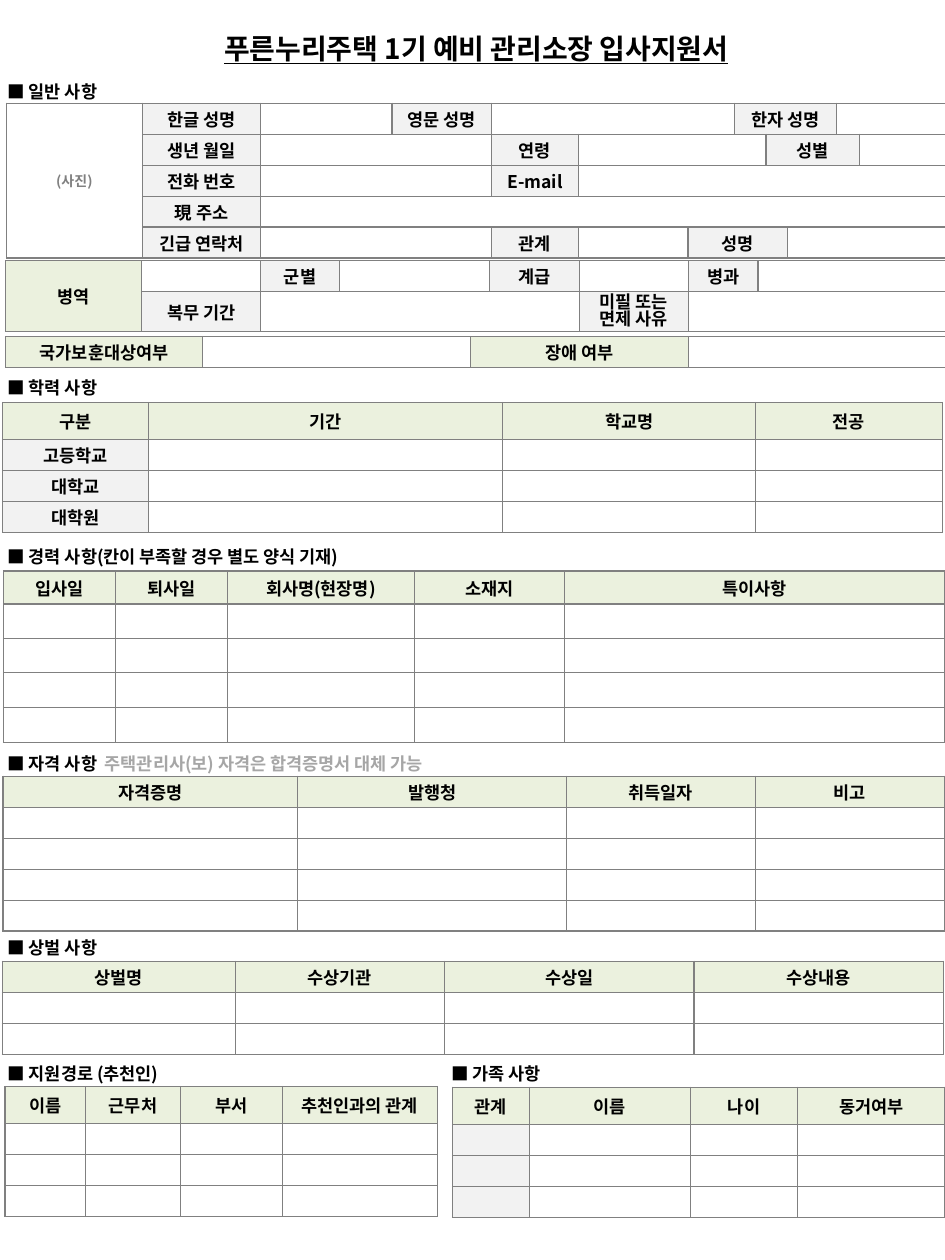
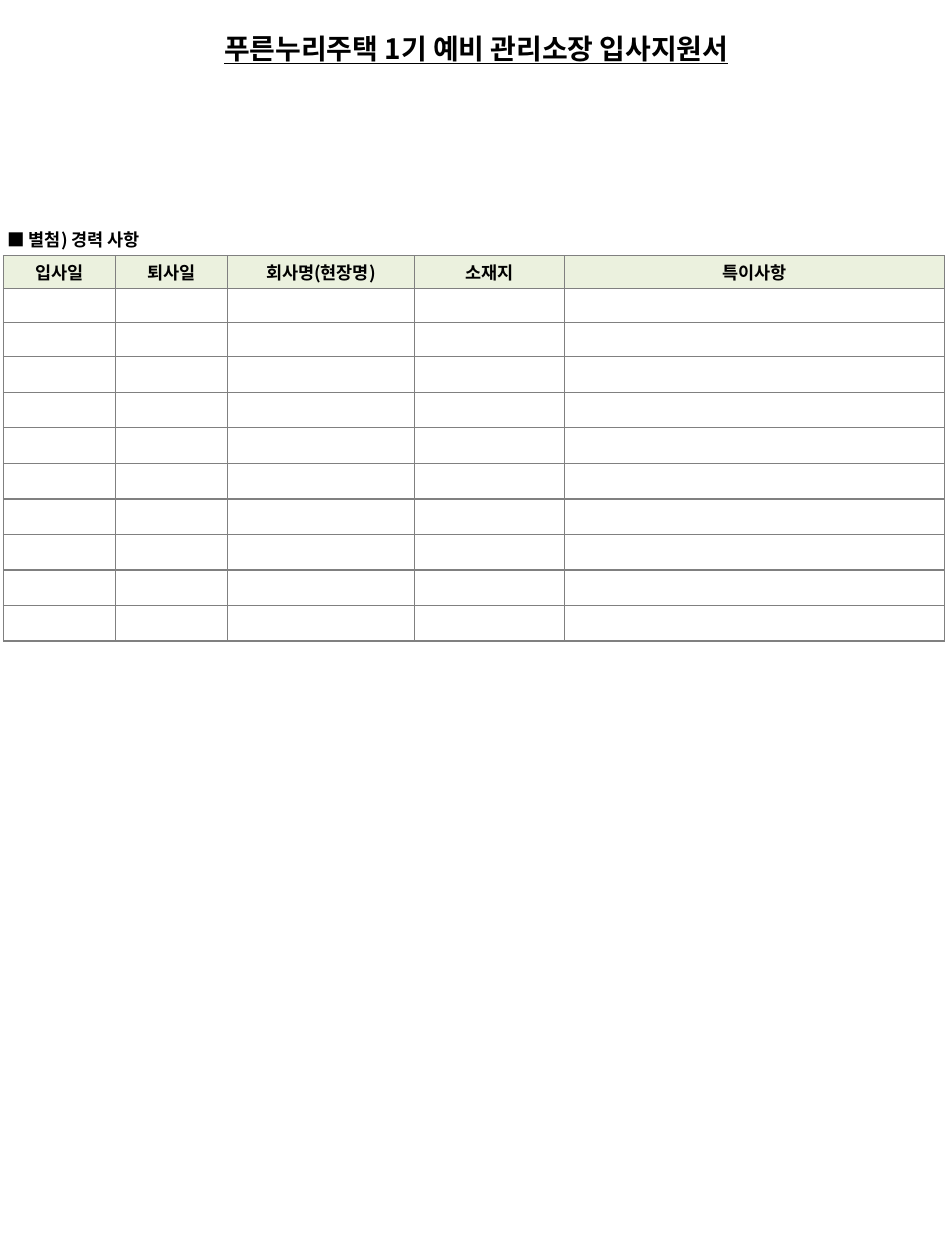
"""Build a two-page job application form from headings and ruled tables."""
from lxml import etree
from pptx import Presentation
from pptx.dml.color import RGBColor
from pptx.enum import text as txt
from pptx.oxml import ns, parse_xml
from pptx.util import Pt

HUES = {"ink": "000000", "rule": "808080", "hint": "A6A6A6",
        "head": "EBF1DE", "label": "F2F2F2"}
FACE = "Noto Sans CJK KR"
ROW = 17.7
TITLE = "푸른누리주택 1기 예비 관리소장 입사지원서"


def style(par, size=10, hue="ink"):
    font = par.font
    font.name, font.size, font.bold = FACE, Pt(size), True
    font.color.rgb = RGBColor.from_string(HUES[hue])
    etree.SubElement(font._rPr, ns.qn("a:ea"), typeface=FACE)
    if not par.runs:
        par._p.get_or_add_endParaRPr().set("sz", str(size * 100))


def grid(page, left, top, cols, rows, cells):
    frame = page.shapes.add_table(len(rows), len(cols), Pt(left), Pt(top),
                                  Pt(sum(cols)), Pt(sum(rows)))
    table = frame.table
    table.first_row = table.horz_banding = False
    for col, width in zip(table.columns, cols):
        col.width = Pt(width)
    for row, height in zip(table.rows, rows):
        row.height = Pt(height)
    marks = {(r, c): (word, hue) for r, c, word, hue, *_ in cells}
    for r in range(len(rows)):
        for c in range(len(cols)):
            cell = table.cell(r, c)
            word, hue = marks.get((r, c), ("", None))
            cell.margin_left = cell.margin_right = Pt(2.9)
            cell.margin_top = cell.margin_bottom = 0
            cell.vertical_anchor = txt.MSO_ANCHOR.MIDDLE
            par = cell.text_frame.paragraphs[0]
            par.text = word
            par.alignment = txt.PP_ALIGN.CENTER
            if "\v" in word:
                par.line_spacing = 0.7
            if word == "(사진)":
                style(par, 8, "rule")
            else:
                style(par)
            if hue:
                cell.fill.solid()
                cell.fill.fore_color.rgb = RGBColor.from_string(HUES[hue])
            else:
                cell.fill.background()
            props = cell._tc.get_or_add_tcPr()
            for i, side in enumerate("LRTB"):
                props.insert(i, parse_xml(
                    f'<a:ln{side} {ns.nsdecls("a")} w="9525"><a:solidFill>'
                    f'<a:srgbClr val="{HUES["rule"]}"/></a:solidFill></a:ln{side}>'))
    for r, c, _, _, *span in cells:
        if span:
            down, over = span
            table.cell(r, c).merge(table.cell(r + down - 1, c + over - 1))


deck = Presentation()
deck.slide_width, deck.slide_height = Pt(540), Pt(720)
form, annex = [deck.slides.add_slide(deck.slide_layouts[6]) for _ in range(2)]

heads = [
    (form, 4.3, 42.5, "■ 일반 사항", ""),
    (form, 4.3, 211.7, "■ 학력 사항", ""),
    (form, 4.3, 308.2, "■ 경력 사항(칸이 부족할 경우 별도 양식 기재)", ""),
    (form, 4.3, 427, "■ 자격 사항  ", "주택관리사(보) 자격은 합격증명서 대체 가능"),
    (form, 4.3, 532.1, "■ 상벌 사항", ""),
    (form, 4.3, 604.1, "■ 지원경로 (추천인)", ""),
    (form, 257.8, 604.1, "■ 가족 사항", ""),
    (annex, 4.3, 127.4, "■ 별첨) 경력 사항", ""),
]
for page, left, top, word, hint in heads:
    box = page.shapes.add_textbox(Pt(left), Pt(top), Pt(536 - left), Pt(19.4))
    box.text_frame.word_wrap = True
    box.text_frame.margin_left = 0
    par = box.text_frame.paragraphs[0]
    par.text = word
    if hint:
        run = par.add_run()
        run.text = hint
        run.font.color.rgb = RGBColor.from_string(HUES["hint"])
    style(par)

for page in (form, annex):
    box = page.shapes.add_textbox(Pt(2.2), Pt(14.4), Pt(540), Pt(26.6))
    box.text_frame.word_wrap = True
    par = box.text_frame.paragraphs[0]
    par.text = TITLE
    par.alignment = txt.PP_ALIGN.CENTER
    style(par, 16)
    par.font.underline = True

grid(form, 3.6, 59,
     [77.8, 67.7, 74.9, 56.9, 49.7, 62.6, 26.6, 18, 12.2, 28.1, 13, 49.7],
     [ROW] * 5, [
         (0, 0, "(사진)", None, 5, 1),
         (0, 1, "한글 성명", "label"), (0, 3, "영문 성명", "label"),
         (0, 4, "", None, 1, 3), (0, 7, "한자 성명", "label", 1, 3),
         (0, 10, "", None, 1, 2),
         (1, 1, "생년 월일", "label"), (1, 2, "", None, 1, 2),
         (1, 4, "연령", "label"), (1, 5, "", None, 1, 3),
         (1, 8, "성별", "label", 1, 3),
         (2, 1, "전화 번호", "label"), (2, 2, "", None, 1, 2),
         (2, 4, "E-mail", "label"), (2, 5, "", None, 1, 7),
         (3, 1, "現 주소", "label"), (3, 2, "", None, 1, 10),
         (4, 1, "긴급 연락처", "label"), (4, 2, "", None, 1, 2),
         (4, 4, "관계", "label"), (4, 6, "성명", "label", 1, 3),
         (4, 9, "", None, 1, 3)])
grid(form, 3.3, 149, [77.8, 67.7, 45.4, 85.7, 51.1, 62.6, 39.6, 108],
     [ROW, 22.9], [
         (0, 0, "병역", "head", 2, 1), (0, 2, "군별", "label"),
         (0, 4, "계급", "label"), (0, 6, "병과", "label"),
         (1, 1, "복무 기간", "label"), (1, 2, "", None, 1, 3),
         (1, 5, "미필 또는\v면제 사유", "label"), (1, 6, "", None, 1, 2)])
grid(form, 3.3, 192.2, [112.3, 153.4, 124.6, 147.6], [ROW],
     [(0, 0, "국가보훈대상여부", "head"), (0, 2, "장애 여부", "head")])

job = [64.1, 64.1, 106.6, 85.7, 217.4]
work = ["입사일", "퇴사일", "회사명(현장명)", "소재지", "특이사항"]
short = [21.2] + [ROW] * 3
lists = [
    (form, 1.4, 229.9, [83.5, 202.3, 144.7, 106.6], short,
     ["구분", "기간", "학교명", "전공"], ["고등학교", "대학교", "대학원"]),
    (form, 1.9, 326.3, job, [18.9] + [19.5] * 2 + [20.2] * 2, work, []),
    (form, 1.7, 443.6, [168.5, 153.4, 108, 108], [ROW] * 5,
     ["자격증명", "발행청", "취득일자", "비고"], []),
    (form, 1.3, 549.3, [133.2, 119.5, 142.6, 142.6], [ROW] * 3,
     ["상벌명", "수상기관", "수상일", "수상내용"], []),
    (form, 2.9, 620.8, [46.1, 54, 58.3, 88.6], short,
     ["이름", "근무처", "부서", "추천인과의 관계"], []),
    (form, 258.5, 621.3, [43.9, 92.2, 61.2, 84.2], short,
     ["관계", "이름", "나이", "동거여부"], [""] * 3),
    (annex, 1.9, 146.1, job, [18.9] + [19.5] * 2 + [20.3] * 8, work, []),
]
for page, left, top, cols, rows, names, side in lists:
    cells = [(0, c, word, "head") for c, word in enumerate(names)]
    cells += [(r, 0, word, "label") for r, word in enumerate(side, 1)]
    grid(page, left, top, cols, rows, cells)

deck.save("out.pptx")
